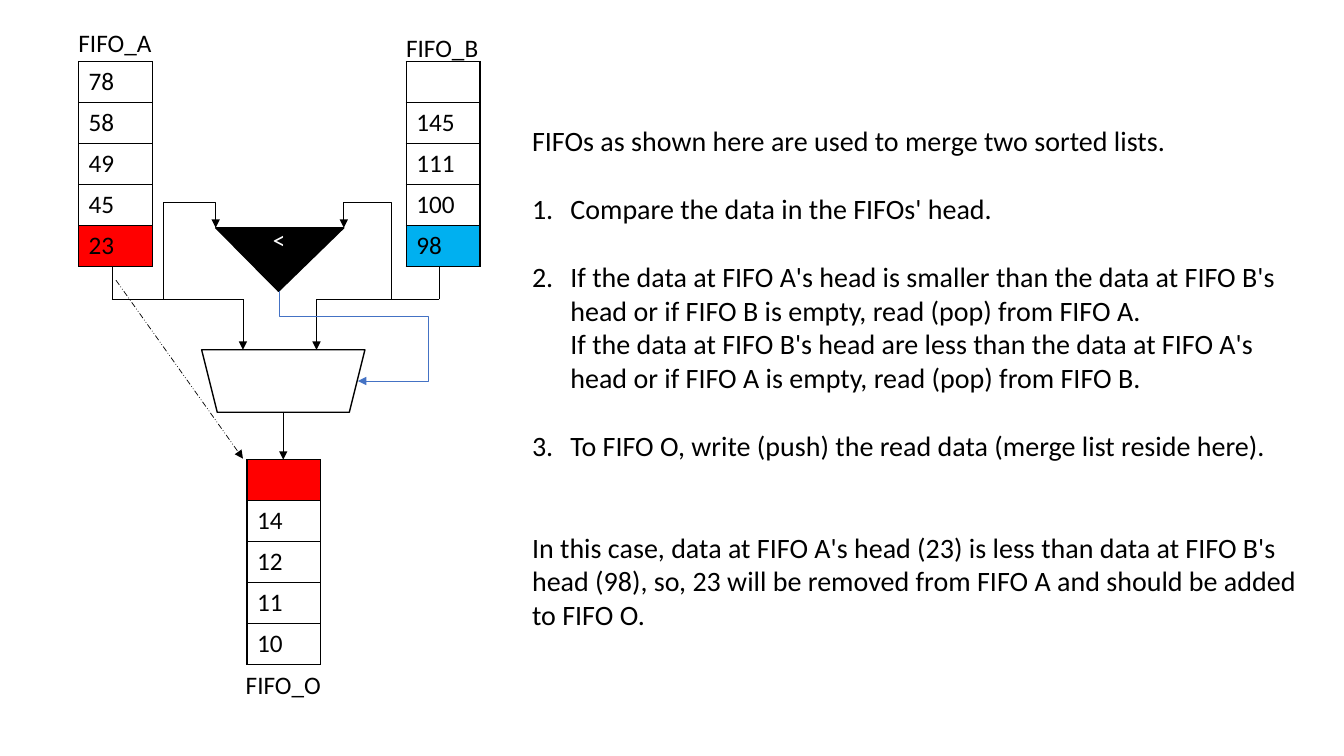
from lxml.etree import SubElement
from pptx import Presentation
from pptx.dml.color import RGBColor
from pptx.enum.dml import MSO_LINE
from pptx.enum.shapes import MSO_CONNECTOR, MSO_SHAPE
from pptx.enum.text import MSO_ANCHOR, PP_ALIGN
from pptx.oxml.ns import qn
from pptx.util import Inches, Pt

BLACK = RGBColor(0x00, 0x00, 0x00)
WHITE = RGBColor(0xFF, 0xFF, 0xFF)
RED = RGBColor(0xFF, 0x00, 0x00)
SKY = RGBColor(0x00, 0xB0, 0xF0)
BLUE = RGBColor(0x44, 0x72, 0xC4)

FONT = "Calibri"
SLIDE_WIDTH, SLIDE_HEIGHT = Inches(13.333), Inches(7.5)
COLUMN, ROW = SLIDE_WIDTH / 100, SLIDE_HEIGHT / 100
CELL_WIDTH, CELL_HEIGHT = 5.48, 5.42
BLANK_LINE = 24.4

A_OUT, B_OUT = 8.33, 32.7
A_INPUT, B_INPUT = 18.08, 23.55
QUEUE_TOP, QUEUE_BOTTOM, BUS = 8.13, 35.2, 39.6
COMPARATOR_TOP, COMPARATOR_BOTTOM = 30.13, 38.53
MUX_TOP, MUX_BOTTOM = 46.27, 54.53
OUTPUT_TOP = 60.8

EXPLANATION = [
    ("FIFOs as shown here are used to merge two sorted lists.", False, 1),
    ("Compare the data in the FIFOs' head.", True, 1),
    ("If the data at FIFO A's head is smaller than the data at FIFO B's head "
     "or if FIFO B is empty, read (pop) from FIFO A.\v"
     "If the data at FIFO B's head are less than the data at FIFO A's head "
     "or if FIFO A is empty, read (pop) from FIFO B.", True, 1),
    ("To FIFO O, write (push) the read data (merge list reside here).", True, 2),
    ("In this case, data at FIFO A's head (23) is less than data at FIFO "
     "B's head (98), so, 23 will be removed from FIFO A and should be "
     "added to FIFO O.", False, 0),
]


def grid(column, row):
    return round(column * COLUMN), round(row * ROW)


def format_runs(paragraph, size, color=BLACK):
    for run in paragraph.runs:
        run.font.name = FONT
        run.font.size = Pt(size)
        run.font.color.rgb = color


def add_cell_borders(cell):
    properties = cell._tc.get_or_add_tcPr()
    for side in ("a:lnL", "a:lnR", "a:lnT", "a:lnB"):
        border = SubElement(properties, qn(side), w=str(Pt(1)))
        fill = SubElement(border, qn("a:solidFill"))
        SubElement(fill, qn("a:srgbClr"), val=str(BLACK))


def add_queue(slide, column, row, values, marked_row, marked_color):
    table = slide.shapes.add_table(
        len(values), 1, *grid(column, row),
        *grid(CELL_WIDTH, CELL_HEIGHT * len(values))).table
    table.first_row = False
    table.horz_banding = False
    for index, value in enumerate(values):
        cell = table.cell(index, 0)
        cell.text = value
        format_runs(cell.text_frame.paragraphs[0], 18)
        add_cell_borders(cell)
        cell.fill.solid()
        cell.fill.fore_color.rgb = marked_color if index == marked_row else WHITE


def add_block(slide, preset, column, row, width, height, color):
    shape = slide.shapes.add_shape(preset, *grid(column, row), *grid(width, height))
    shape.rotation = 180
    shape.shadow.inherit = False
    shape.fill.solid()
    shape.fill.fore_color.rgb = color
    shape.line.color.rgb = BLACK
    shape.line.width = Pt(1)
    return shape


def add_wire(slide, start, end, arrow=True, kind=MSO_CONNECTOR.STRAIGHT,
             color=BLACK, dash=None):
    connector = slide.shapes.add_connector(kind, *grid(*start), *grid(*end))
    connector.line.color.rgb = color
    connector.line.width = Pt(0.5)
    if dash:
        connector.line.dash_style = dash
    if arrow:
        SubElement(connector.line._get_or_add_ln(), qn("a:tailEnd"), type="triangle")
    SubElement(connector._element.spPr, qn("a:effectLst"))
    return connector


def add_bent_wire(slide, start, end, bends, color=BLACK):
    connector = add_wire(slide, start, end, kind=MSO_CONNECTOR.ELBOW, color=color)
    geometry = connector._element.spPr.find(qn("a:prstGeom"))
    geometry.set("prst", "bentConnector4")
    adjustments = geometry.find(qn("a:avLst"))
    for number, bend in enumerate(bends, 1):
        SubElement(adjustments, qn("a:gd"), name=f"adj{number}",
                   fmla=f"val {round(bend * 100000)}")
    return connector


def turn_to_leave_downwards(connector):
    width, height = connector.width, connector.height
    connector.left += (width - height) // 2
    connector.top += (height - width) // 2
    connector.width, connector.height = height, width
    transform = connector._element.spPr.find(qn("a:xfrm"))
    transform.set("rot", str(270 * 60000))
    transform.set("flipH", "1")


def add_text_box(slide, column, row, width, height):
    box = slide.shapes.add_textbox(*grid(column, row), *grid(width, height))
    box.text_frame.word_wrap = True
    return box.text_frame


def add_label(slide, text, column, row, width):
    frame = add_text_box(slide, column, row, width, 5.33)
    frame.text = text
    format_runs(frame.paragraphs[0], 18)


def number_paragraph(paragraph):
    properties = paragraph._p.get_or_add_pPr()
    properties.set("marL", str(Inches(0.38)))
    properties.set("indent", str(-Inches(0.38)))
    SubElement(properties, qn("a:buFont"), typeface="+mj-lt")
    SubElement(properties, qn("a:buAutoNum"), type="arabicPeriod")


def add_explanation(slide):
    frame = add_text_box(slide, 38.85, 15.73, 58.73, 68.67)
    for index, (text, numbered, gap) in enumerate(EXPLANATION):
        paragraph = frame.add_paragraph() if index else frame.paragraphs[0]
        paragraph.text = text
        format_runs(paragraph, 20)
        paragraph.space_after = Pt(gap * BLANK_LINE)
        if numbered:
            number_paragraph(paragraph)


def add_comparator(slide):
    comparator = add_block(slide, MSO_SHAPE.ISOSCELES_TRIANGLE, 16.05, COMPARATOR_TOP,
                           9.53, COMPARATOR_BOTTOM - COMPARATOR_TOP, BLACK)
    comparator.adjustments[0] = 0.51
    frame = comparator.text_frame
    frame.text = ">"
    frame.vertical_anchor = MSO_ANCHOR.MIDDLE
    frame.paragraphs[0].alignment = PP_ALIGN.CENTER
    format_runs(frame.paragraphs[0], 18, WHITE)


def add_wiring(slide):
    for source, mux_input, corner in ((A_OUT, A_INPUT, 16.05), (B_OUT, B_INPUT, 25.58)):
        add_wire(slide, (source, QUEUE_BOTTOM), (source, BUS), arrow=False)
        add_wire(slide, (source, BUS), (mux_input, BUS), arrow=False)
        add_wire(slide, (mux_input, BUS), (mux_input, MUX_TOP))
        add_bent_wire(slide, (source, BUS), (corner, COMPARATOR_TOP), (0.5, 1.35))
    select = add_bent_wire(slide, (20.78, COMPARATOR_BOTTOM), (26.63, 50.4),
                           (0.28, 1.9), BLUE)
    turn_to_leave_downwards(select)
    add_wire(slide, (21.08, MUX_BOTTOM), (21.08, OUTPUT_TOP))
    add_wire(slide, (8.63, 37.07), (A_INPUT, 60.67), dash=MSO_LINE.DASH_DOT_DOT)


def main():
    presentation = Presentation()
    presentation.slide_width = SLIDE_WIDTH
    presentation.slide_height = SLIDE_HEIGHT
    slide = presentation.slides.add_slide(presentation.slide_layouts[6])

    add_queue(slide, 5.85, QUEUE_TOP, ["78", "58", "49", "45", "23"], 4, RED)
    add_queue(slide, 30.23, QUEUE_TOP, ["", "145", "111", "100", "98"], 4, SKY)
    add_queue(slide, 18.38, OUTPUT_TOP, ["", "14", "12", "11", "10"], 0, RED)
    add_block(slide, MSO_SHAPE.TRAPEZOID, 15, MUX_TOP, 12.15, MUX_BOTTOM - MUX_TOP, WHITE)
    add_comparator(slide)
    add_wiring(slide)
    add_explanation(slide)
    add_label(slide, "FIFO_A", 5.1, 2.93, 7.05)
    add_label(slide, "FIFO_B", 29.48, 3.6, 7.05)
    add_label(slide, "FIFO_O", 17.55, 87.87, 9)
    presentation.save("out.pptx")


if __name__ == "__main__":
    main()
